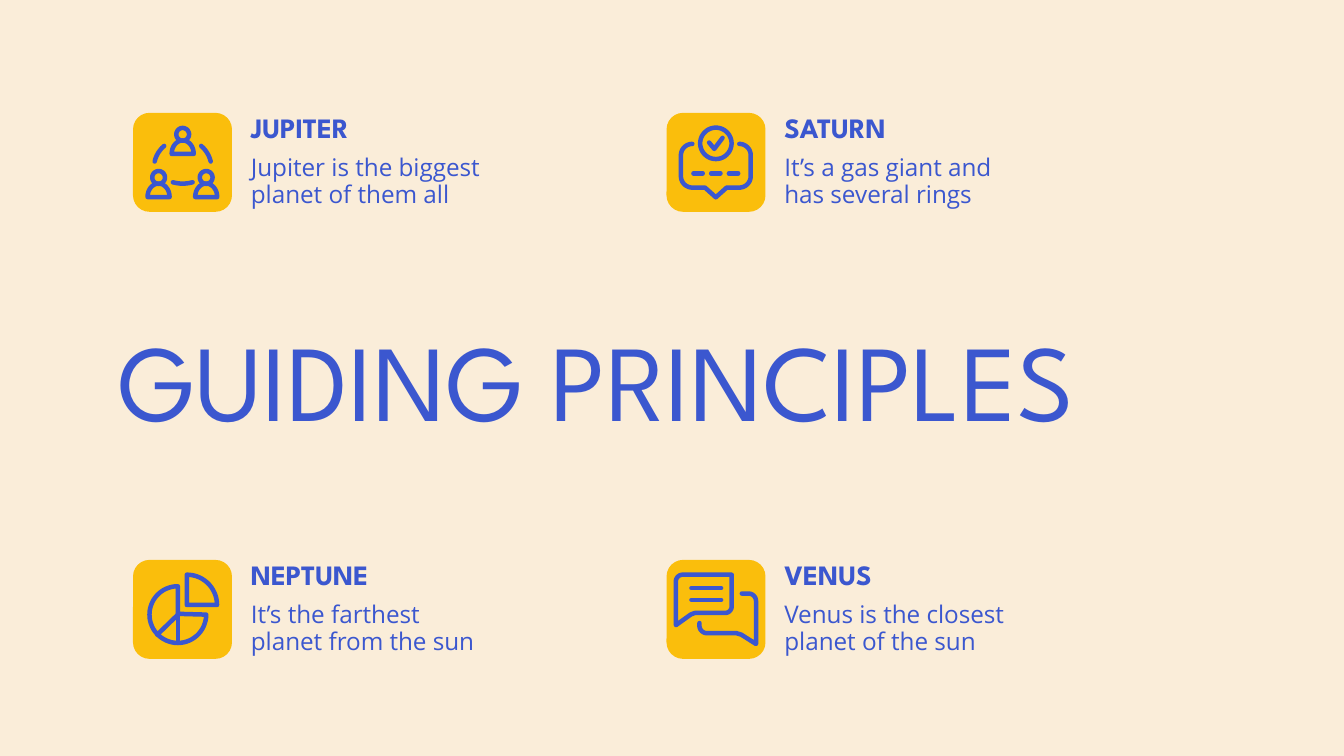
from math import cos, radians, sin
from lxml import etree
from pptx import Presentation
from pptx.dml.color import RGBColor
from pptx.enum import shapes, text
from pptx.oxml.ns import qn
from pptx.util import Pt

COLORS = {"background": "FAEDD9", "tile": "FABE0C", "ink": "3B57CF"}
HEADING_FONT, BODY_FONT = "League Spartan", "Open Sans"
TITLE = "GUIDING PRINCIPLES"
PRINCIPLES = [
    ("JUPITER", "Jupiter is the biggest planet of them all", "people"),
    ("SATURN", "It’s a gas giant and has several rings", "approval"),
    ("NEPTUNE", "It’s the farthest planet from the sun", "pie"),
    ("VENUS", "Venus is the closest planet of the sun", "chat"),
]
LEFT, TOP, COLUMN_STEP, ROW_STEP = 71.3, 60.5, 285.8, 239.5
TILE, STROKE = 53, 2.4


def arc(x, y, radius, start, end, height=None):
    steps = max(2, round(abs(end - start) / 6))
    angles = [radians(start + (end - start) * i / steps) for i in range(steps + 1)]
    return [(x + radius * cos(a), y + (height or radius) * sin(a)) for a in angles]


def person(x, y):
    return [(arc(x, y, 3.4, 0, 360), True),
            (arc(x, y + 10.5, 5.9, 180, 360, 7.2), True)]


def dash(x1, x2, y):
    return [(x1, y), (x2, y)], False


ICONS = {
    "people": [
        *person(26.6, 11.5), *person(13.7, 34.6), *person(39.2, 34.6),
        (arc(26.6, 29.5, 15.4, 193, 230), False),
        (arc(26.6, 29.5, 15.4, 310, 347), False),
        (arc(26.6, 18.7, 19.2, 74, 106), False),
    ],
    "approval": [
        (arc(13.8, 22.7, 6.1, 270, 180) + arc(13.8, 33.9, 6.1, 180, 90)
         + [(20.6, 40), (26.4, 45.2), (32.2, 40)]
         + arc(39, 33.9, 6.1, 90, 0) + arc(39, 22.7, 6.1, 0, -90), False),
        (arc(26.4, 16.3, 8.4, 0, 360), True),
        ([(22.8, 15.9), (25.6, 19.3), (30, 13.4)], False),
        *[dash(x, x + 5, 32.4) for x in (14.4, 23.9, 33.4)],
    ],
    "pie": [
        ([(24, 28.9)] + arc(24, 29.3, 15.2, 0, 270), True),
        ([(24, 29.3), (24, 44.5)], False),
        ([(24, 29.3), (13, 40)], False),
        ([(28.8, 24.1)] + arc(28.8, 24.1, 16.2, 270, 360), True),
    ],
    "chat": [
        ([(34.9, 7.9)] + arc(31.3, 24.8, 3.6, 0, 90)
         + [(15.1, 28.4), (13, 29.2), (5, 34.9)] + arc(8.6, 11.5, 3.6, 180, 270), True),
        ([(40.3, 18)] + arc(43.9, 22, 4, 270, 360)
         + [(47.9, 45), (40, 40), (37.4, 39.2)]
         + arc(21.6, 35.2, 4, 90, 180) + [(17.6, 33.8)], False),
        dash(13.3, 29.2, 15.1), dash(13.3, 29.2, 21.4),
    ],
}


def color(name):
    return RGBColor.from_string(COLORS[name])


def write(shape, content, font, size, bold=False, spacing=1.0, anchor=text.MSO_ANCHOR.TOP):
    frame = shape.text_frame
    frame.text = content
    frame.word_wrap = True
    frame.auto_size = text.MSO_AUTO_SIZE.NONE
    frame.vertical_anchor = anchor
    frame.margin_left = frame.margin_right = frame.margin_top = frame.margin_bottom = Pt(7.2)
    paragraph = frame.paragraphs[0]
    paragraph.alignment = text.PP_ALIGN.LEFT
    paragraph.line_spacing = spacing
    paragraph.font.name, paragraph.font.size, paragraph.font.bold = font, Pt(size), bold
    paragraph.font.color.rgb = color("ink")


def draw_stroke(slide, left, top, points, closed):
    (x, y), *others = [(Pt(left + x), Pt(top + y)) for x, y in points]
    builder = slide.shapes.build_freeform(x, y)
    builder.add_line_segments(others, close=closed)
    shape = builder.convert_to_shape()
    shape.shadow.inherit = False
    shape.fill.background()
    shape.line.color.rgb = color("ink")
    shape.line.width = Pt(STROKE)
    outline = shape.line._get_or_add_ln()
    outline.set("cap", "rnd")
    etree.SubElement(outline, qn("a:round"))


def draw_principle(slide, left, top, heading, description, icon):
    tile = slide.shapes.add_shape(shapes.MSO_SHAPE.ROUNDED_RECTANGLE,
                                  Pt(left), Pt(top), Pt(TILE), Pt(TILE))
    tile.shadow.inherit = False
    tile.fill.solid()
    tile.fill.fore_color.rgb = color("tile")
    tile.line.fill.background()
    for points, closed in ICONS[icon]:
        draw_stroke(slide, left, top, points, closed)
    text_left = Pt(left + 56)
    label = slide.shapes.add_textbox(text_left, Pt(top - 8.7), Pt(137.5), Pt(23.8))
    write(label, heading, HEADING_FONT, 15, bold=True)
    body = slide.shapes.add_textbox(text_left, Pt(top + 15.8), Pt(137.5), Pt(37.4))
    write(body, description, BODY_FONT, 13, spacing=0.9)


presentation = Presentation()
presentation.slide_width, presentation.slide_height = Pt(720), Pt(405)
slide = presentation.slides.add_slide(presentation.slide_layouts[5])
slide.background.fill.solid()
slide.background.fill.fore_color.rgb = color("background")

title = slide.shapes.title
title.left, title.top, title.width, title.height = Pt(56.2), Pt(164.2), Pt(607.7), Pt(76.3)
write(title, TITLE, HEADING_FONT, 58, anchor=text.MSO_ANCHOR.MIDDLE)

for index, principle in enumerate(PRINCIPLES):
    row, column = divmod(index, 2)
    draw_principle(slide, LEFT + column * COLUMN_STEP, TOP + row * ROW_STEP, *principle)

presentation.save("out.pptx")
